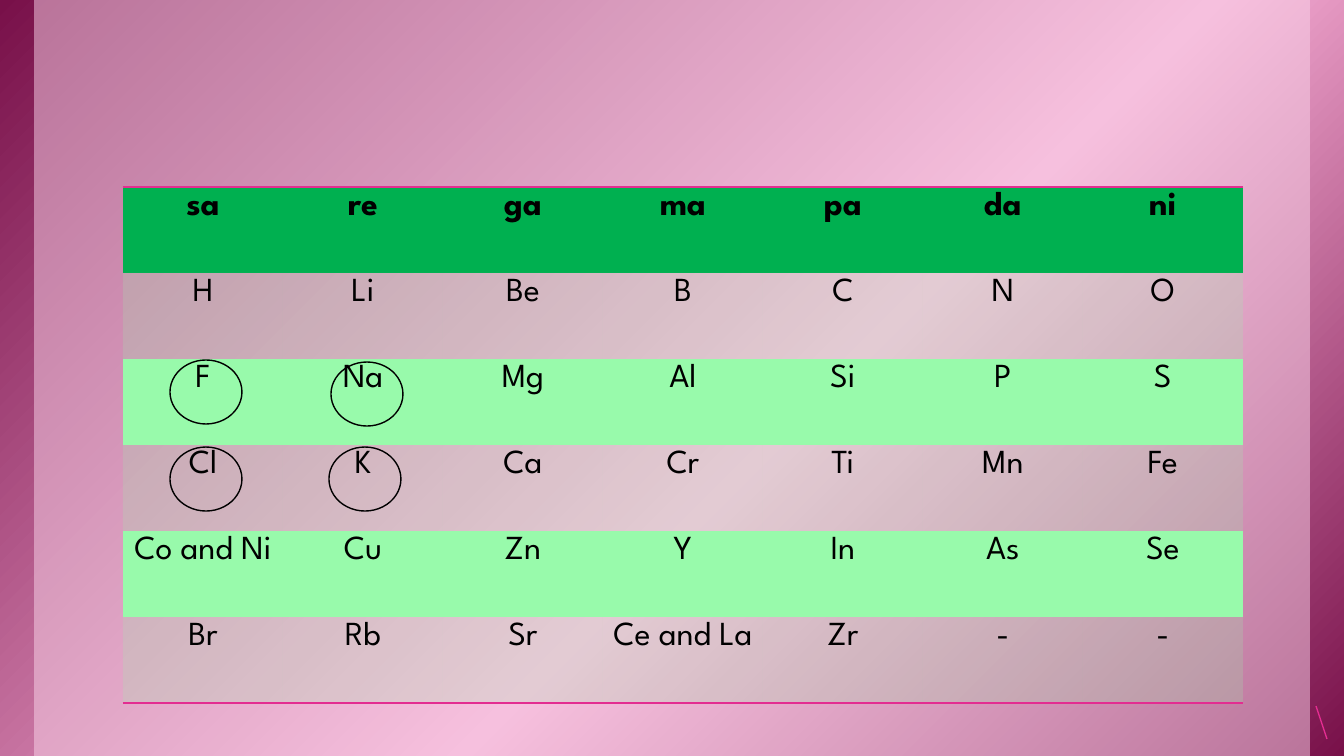
from pptx import Presentation
from pptx.dml.color import RGBColor
from pptx.enum.shapes import MSO_CONNECTOR, MSO_SHAPE
from pptx.enum.text import PP_ALIGN
from pptx.oxml import parse_xml
from pptx.oxml.ns import nsdecls, qn
from pptx.util import Pt
from lxml.etree import SubElement

# Content
ROWS = [
    ["sa", "re", "ga", "ma", "pa", "da", "ni"],
    ["H", "Li", "Be", "B", "C", "N", "O"],
    ["F", "Na", "Mg", "Al", "Si", "P", "S"],
    ["Cl", "K", "Ca", "Cr", "Ti", "Mn", "Fe"],
    ["Co and Ni", "Cu", "Zn", "Y", "In", "As", "Se"],
    ["Br", "Rb", "Sr", "Ce and La", "Zr", "-", "-"],
]
RING_CORNERS = [(331, 362), (329, 447), (170, 360), (170, 447)]

THEME = {
    "font": "League Spartan", "size": Pt(24), "line": Pt(1),
    "text": "000000", "header": "00B050", "band": "98FAAB",
    "accent": "E32D91", "veil": "F9D5E9",
    "backdrop": [(0, "781049"), (58, "F4ABD3"), (100, "781049")],
}

# Layout in pixels
SCALE = 914400 / 100.8
PAGE_WIDTH, PAGE_HEIGHT = 1344, 756
TABLE_LEFT, TABLE_TOP = 123, 187
COLUMN_WIDTH, ROW_HEIGHT = 160, 86
RING_WIDTH, RING_HEIGHT = 72, 64


def emu(*pixels):
    return [round(value * SCALE) for value in pixels]


def rgb(name):
    return RGBColor.from_string(THEME[name])


def add_shape(kind, *place):
    shape = page.shapes.add_shape(kind, *emu(*place))
    shape.shadow.inherit = False
    shape.fill.background()
    shape.line.fill.background()
    return shape


def paint(fill, properties, name, opacity=100):
    fill.solid()
    fill.fore_color.rgb = rgb(name)
    if opacity < 100:
        color = properties.find(qn("a:solidFill"))[0]
        SubElement(color, qn("a:alpha")).set("val", str(opacity * 1000))


def border_xml(side, visible):
    paint_xml = (f'<a:solidFill><a:srgbClr val="{THEME["accent"]}"/></a:solidFill>'
                 if visible else "<a:noFill/>")
    return parse_xml(f'<a:{side} {nsdecls("a")} w="{THEME["line"]}">{paint_xml}</a:{side}>')


deck = Presentation()
deck.slide_width, deck.slide_height = emu(PAGE_WIDTH, PAGE_HEIGHT)
page = deck.slides.add_slide(deck.slide_layouts[6])

# Diagonal backdrop and translucent veil
backdrop = add_shape(MSO_SHAPE.RECTANGLE, 0, 0, PAGE_WIDTH, PAGE_HEIGHT)
stops = "".join(f'<a:gs pos="{position * 1000}"><a:srgbClr val="{color}"/></a:gs>'
                for position, color in THEME["backdrop"])
properties = backdrop._element.spPr
properties.replace(properties.find(qn("a:noFill")), parse_xml(
    f'<a:gradFill {nsdecls("a")} rotWithShape="1"><a:gsLst>{stops}</a:gsLst>'
    '<a:lin ang="2700000" scaled="0"/></a:gradFill>'))
veil = add_shape(MSO_SHAPE.RECTANGLE, 34, 0, 1276, PAGE_HEIGHT)
paint(veil.fill, veil._element.spPr, "veil", 50)

# Table of notes and elements
frame = page.shapes.add_table(
    len(ROWS), len(ROWS[0]),
    *emu(TABLE_LEFT, TABLE_TOP, COLUMN_WIDTH * len(ROWS[0]), ROW_HEIGHT * len(ROWS)))
table = frame.table
for column in table.columns:
    column.width = emu(COLUMN_WIDTH)[0]
for row_index, words in enumerate(ROWS):
    table.rows[row_index].height = emu(ROW_HEIGHT)[0]
    is_header = row_index == 0
    for column_index, word in enumerate(words):
        cell = table.cell(row_index, column_index)
        cell.text = word
        para = cell.text_frame.paragraphs[0]
        para.alignment = PP_ALIGN.CENTER
        para.font.name, para.font.size = THEME["font"], THEME["size"]
        para.font.bold = is_header
        para.font.color.rgb = rgb("text")
        cell_properties = cell._tc.get_or_add_tcPr()
        paint(cell.fill, cell_properties, "header" if is_header else "band",
              20 if row_index % 2 else 100)
        visible = {"lnT": is_header, "lnB": row_index in (0, len(ROWS) - 1)}
        for position, side in enumerate(("lnL", "lnR", "lnT", "lnB")):
            cell_properties.insert(position, border_xml(side, visible.get(side, False)))

# Rings around the halogens and alkali metals
for left, top in RING_CORNERS:
    ring = add_shape(MSO_SHAPE.FLOWCHART_CONNECTOR, left, top, RING_WIDTH, RING_HEIGHT)
    ring.line.color.rgb = rgb("text")
    ring.line.width = THEME["line"]

# Corner stroke
stroke = page.shapes.add_connector(MSO_CONNECTOR.STRAIGHT, *emu(1316, 706, 1327, 739))
stroke.line.color.rgb = rgb("accent")
stroke.line.width = THEME["line"]
SubElement(stroke._element.spPr, qn("a:effectLst"))

deck.save("out.pptx")
